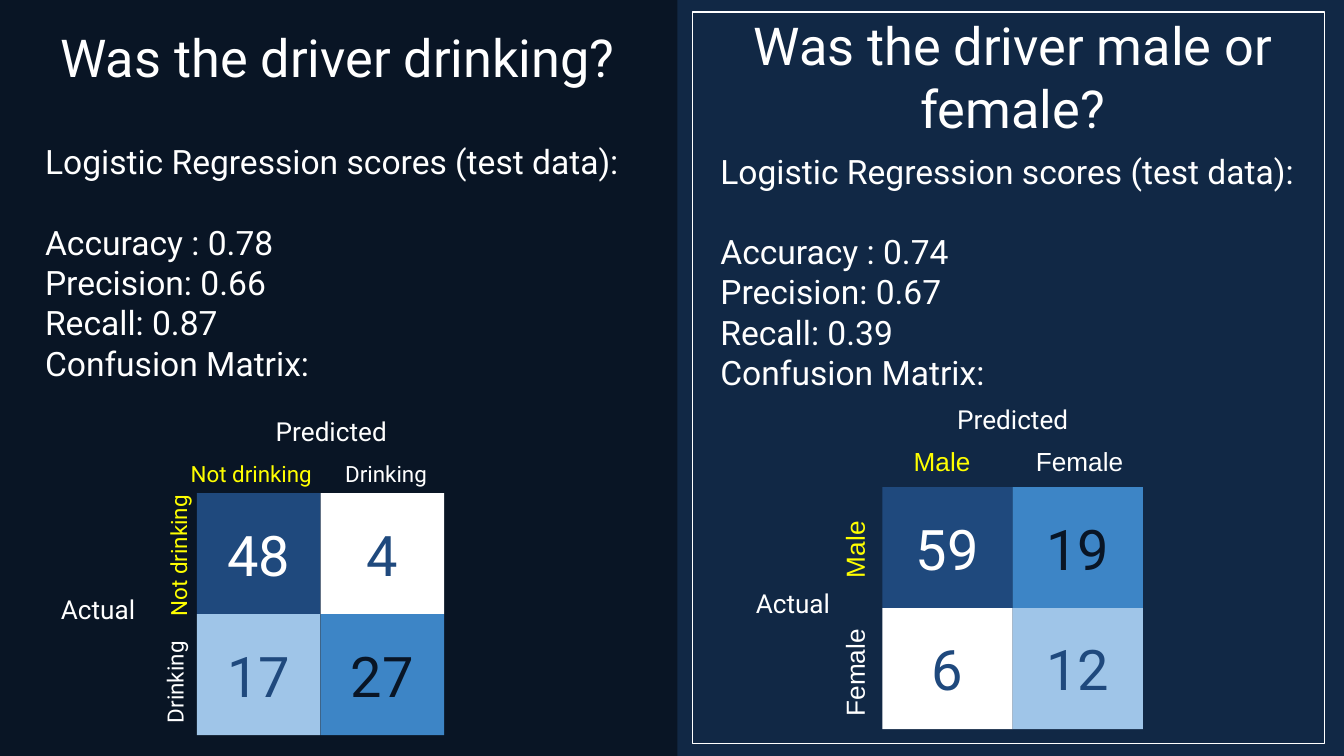
from pptx import Presentation
from pptx.dml.color import RGBColor
from pptx.enum.shapes import MSO_SHAPE
from pptx.enum.text import MSO_ANCHOR, MSO_AUTO_SIZE, PP_ALIGN
from pptx.oxml.xmlchemy import OxmlElement
from pptx.util import Pt

PX = 4572
WIDE, HIGH = 2000, 1125
INSET = 20
COLORS = {"back": "112845", "panel": "091525", "white": "FFFFFF", "yellow": "FFFF00",
          "navy": "1F497D", "blue": "3D85C6", "pale": "9FC5E8"}
INKS = {"navy": "white", "white": "navy", "pale": "navy", "blue": "panel"}

HEAD = "Logistic Regression scores (test data):"
SIDES = [
    {"title": "Was the driver drinking?", "title_box": (54, 18, 896, 210),
     "scores": ["Accuracy : 0.78", "Precision: 0.66", "Recall: 0.87", "Confusion Matrix:"],
     "list_box": (47, 190, 910, 918),
     "grid": (293, 734, 184, 180),
     "cells": [[("48", "navy"), ("4", "white")], [("17", "pale"), ("27", "blue")]],
     "font": "Roboto", "size": 12,
     "axes": [("Predicted", (361, 598, 264, 84)), ("Actual", (54, 863, 184, 84))],
     "tags": [("Not drinking", "yellow", (264, 664, 246, 84), 0),
              ("Drinking", "white", (494, 664, 184, 84), 0),
              ("Not drinking", "yellow", (140, 772, 246, 84), 270),
              ("Drinking", "white", (160, 956, 184, 96), 270)],
     "anchor": MSO_ANCHOR.BOTTOM},
    {"title": "Was the driver male or female?", "title_box": (1031, 0, 952, 210),
     "scores": ["Accuracy : 0.74", "Precision: 0.67", "Recall: 0.39", "Confusion Matrix:"],
     "list_box": (1052, 204, 910, 894),
     "grid": (1313, 725, 194, 180),
     "cells": [[("59", "navy"), ("19", "blue")], [("6", "white"), ("12", "pale")]],
     "font": "Arial", "size": 14,
     "axes": [("Predicted", (1375, 580, 264, 84)), ("Actual", (1088, 854, 184, 84))],
     "tags": [("Male", "yellow", (1340, 643, 136, 84), 0),
              ("Female", "white", (1522, 643, 180, 84), 0),
              ("Male", "yellow", (1202, 770, 136, 84), 270),
              ("Female", "white", (1180, 954, 180, 84), 270)],
     "anchor": MSO_ANCHOR.TOP},
]


def emu(box):
    return [n * PX for n in box]


def rgb(name):
    return RGBColor.from_string(COLORS[name])


def write(shape, lines, size=14, color="white", font="Roboto",
          align=PP_ALIGN.CENTER, anchor=MSO_ANCHOR.TOP, gap=0):
    frame = shape.text_frame
    frame.word_wrap = True
    frame.auto_size = MSO_AUTO_SIZE.NONE
    frame.vertical_anchor = anchor
    frame.margin_left = frame.margin_right = INSET * PX
    frame.margin_top = frame.margin_bottom = INSET * PX
    for i, line in enumerate(lines):
        para = frame.paragraphs[0] if i == 0 else frame.add_paragraph()
        para.alignment = align
        para.space_before = Pt(0)
        para.space_after = Pt(gap if i == 0 else 0)
        run = para.add_run()
        run.text = line
        run.font.size = Pt(size)
        run.font.name = font
        run.font.color.rgb = rgb(color)


def place(shape, box):
    shape.left, shape.top, shape.width, shape.height = emu(box)


def rect(box, fill=None, line=None):
    shape = slide.shapes.add_shape(MSO_SHAPE.RECTANGLE, *emu(box))
    shape.shadow.inherit = False
    if fill:
        shape.fill.solid()
        shape.fill.fore_color.rgb = rgb(fill)
    else:
        shape.fill.background()
    if line:
        shape.line.color.rgb = rgb(line)
        shape.line.width = Pt(0.75)
    else:
        shape.line.fill.background()
    return shape


def label(text, box, turn=0, **form):
    shape = slide.shapes.add_textbox(*emu(box))
    shape.rotation = turn
    write(shape, [text], **form)


def plain(shape):
    for para in shape.text_frame.paragraphs:
        props = para._p.get_or_add_pPr()
        props.set("marL", "0")
        props.set("indent", "0")
        props.append(OxmlElement("a:buNone"))


deck = Presentation()
deck.slide_width, deck.slide_height = emu((WIDE, HIGH))
slide = deck.slides.add_slide(deck.slide_layouts[3])
slide.background.fill.solid()
slide.background.fill.fore_color.rgb = rgb("back")

title, *lists = slide.placeholders
tree = slide.shapes._spTree
for panel in (rect((0, 0, 1008, HIGH), fill="panel"),
              rect((1031, 18, 940, 1089), line="white")):
    tree.insert(2, panel._element)

place(title, SIDES[0]["title_box"])
write(title, [SIDES[0]["title"]], size=28)
label(SIDES[1]["title"], SIDES[1]["title_box"], size=28)

for side, body in zip(SIDES, lists):
    place(body, side["list_box"])
    write(body, [HEAD, *side["scores"]], size=18, align=PP_ALIGN.LEFT, gap=21.5)
    plain(body)

    left, top, wide, high = side["grid"]
    for r, row in enumerate(side["cells"]):
        for c, (count, fill) in enumerate(row):
            cell = rect((left + c * wide, top + r * high, wide, high), fill=fill)
            write(cell, [count], size=30, color=INKS[fill], anchor=MSO_ANCHOR.MIDDLE)

    for text, box in side["axes"]:
        label(text, box)
    for text, color, box, turn in side["tags"]:
        label(text, box, turn, size=side["size"], color=color, font=side["font"],
              align=PP_ALIGN.LEFT,
              anchor=side["anchor"] if turn else MSO_ANCHOR.TOP)

deck.save("out.pptx")
